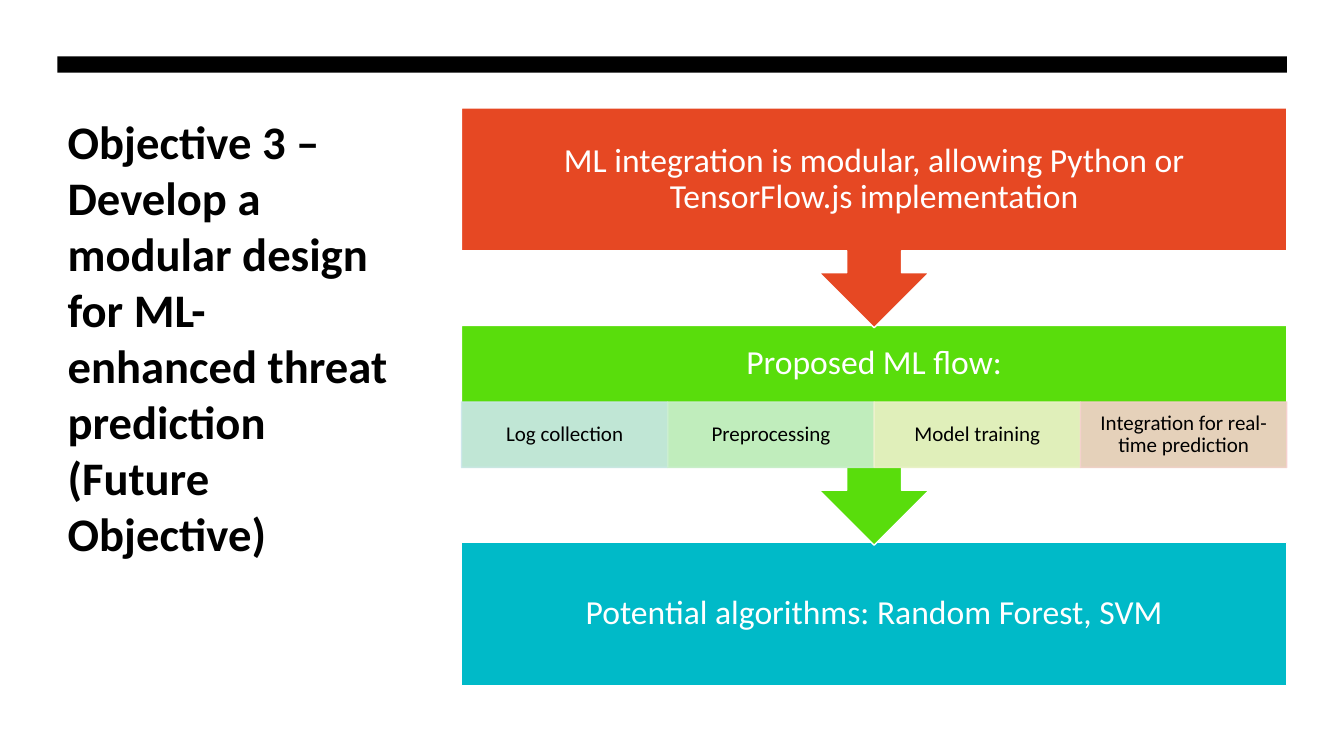
from dataclasses import dataclass

from lxml import etree
from pptx import Presentation
from pptx import util as u
from pptx.dml.color import RGBColor
from pptx.enum import shapes, text
from pptx.oxml.ns import qn


@dataclass(frozen=True)
class Theme:
    font: str = "Calibri"
    black: str = "000000"
    white: str = "FFFFFF"
    orange: str = "E64823"
    green: str = "59DD0C"
    teal: str = "00BAC8"
    tiles: tuple = ("CCE7EB", "CCEFD0", "EFF2CD", "F5D0CD")
    tile_alpha: int = 90
    title_size: float = 33.3
    step_size: float = 24
    tile_size: float = 15


class SlideBuilder:
    def __init__(self, prs, theme):
        self.theme = theme
        self.s = prs.slides.add_slide(prs.slide_layouts[5])
        self.paint(self.s.background.fill, theme.white)

    def paint(self, fill, color, alpha=100):
        fill.solid()
        fill.fore_color.rgb = RGBColor.from_string(color)
        if alpha < 100:
            for clr in fill._xPr.iter(qn("a:srgbClr")):
                etree.SubElement(clr, qn("a:alpha")).set("val", str(alpha * 1000))

    def run(self, p, words, size, color, bold=False):
        r = p.add_run()
        r.text = words
        r.font.name = self.theme.font
        r.font.size = u.Pt(size)
        r.font.bold = bold
        r.font.color.rgb = RGBColor.from_string(color)

    def title(self, words, left, top, width, height):
        sp = self.s.shapes.title
        sp.left, sp.top, sp.width, sp.height = map(u.Cm, (left, top, width, height))
        tf = sp.text_frame
        tf.word_wrap = True
        tf.auto_size = text.MSO_AUTO_SIZE.NONE
        tf.vertical_anchor = text.MSO_ANCHOR.TOP
        p = tf.paragraphs[0]
        p.alignment = text.PP_ALIGN.LEFT
        self.run(p, words, self.theme.title_size, self.theme.black, True)

    def block(self, kind, left, top, width, height, color, line=None, alpha=100):
        sp = self.s.shapes.add_shape(kind, *map(u.Cm, (left, top, width, height)))
        sp.shadow.inherit = False
        self.paint(sp.fill, color, alpha)
        if line:
            self.paint(sp.line.fill, line, alpha)
            sp.line.width = u.Pt(1)
        else:
            sp.line.fill.background()
        return sp

    def label(self, sp, words, size, color, side, edge, bottom=None):
        tf = sp.text_frame
        tf.word_wrap = True
        tf.vertical_anchor = text.MSO_ANCHOR.MIDDLE
        tf.margin_left = tf.margin_right = u.Cm(side)
        tf.margin_top = u.Cm(edge)
        tf.margin_bottom = u.Cm(edge if bottom is None else bottom)
        p = tf.paragraphs[0]
        p.alignment = text.PP_ALIGN.CENTER
        p.line_spacing = 0.9
        self.run(p, words, size, color)

    def step(self, kind, words, top, height, color, bottom=None):
        sp = self.block(kind, FLOW_LEFT, top, FLOW_WIDTH, height, color, self.theme.white)
        self.label(sp, words, self.theme.step_size, self.theme.white, 0.48, 0.48, bottom)

    def tile_row(self, names, top, height):
        width = FLOW_WIDTH / len(names)
        for i, (name, color) in enumerate(zip(names, self.theme.tiles)):
            sp = self.block(RECT, FLOW_LEFT + i * width, top, width, height,
                            color, color, self.theme.tile_alpha)
            self.label(sp, name, self.theme.tile_size, self.theme.black, 0.3, 0.05)


RECT = shapes.MSO_SHAPE.RECTANGLE
CALLOUT = shapes.MSO_SHAPE.DOWN_ARROW_CALLOUT
MARGIN, FLOW_LEFT, FLOW_WIDTH = 1.45, 11.63, 20.8
TOP, CALLOUT_HEIGHT = 2.72, 5.54


def main():
    prs = Presentation()
    prs.slide_width, prs.slide_height = u.Cm(33.87), u.Cm(19.05)
    theme = Theme()
    b = SlideBuilder(prs, theme)
    b.title("Objective 3 – Develop a modular design for ML-enhanced threat "
            "prediction (Future Objective)", MARGIN, TOP, 8.76, 11.3)
    b.block(RECT, MARGIN, 1.42, FLOW_LEFT + FLOW_WIDTH - MARGIN, 0.41, theme.black)
    b.step(RECT, "Potential algorithms: Random Forest, SVM", 13.67, 3.6, theme.teal)
    b.step(CALLOUT, "Proposed ML flow:", 8.2, CALLOUT_HEIGHT, theme.green, 2.15)
    b.tile_row(("Log collection", "Preprocessing", "Model training",
                "Integration for real-time prediction"), 10.13, 1.65)
    b.step(CALLOUT, "ML integration is modular, allowing Python or TensorFlow.js "
           "implementation", TOP, CALLOUT_HEIGHT, theme.orange)
    prs.save("out.pptx")


if __name__ == "__main__":
    main()
